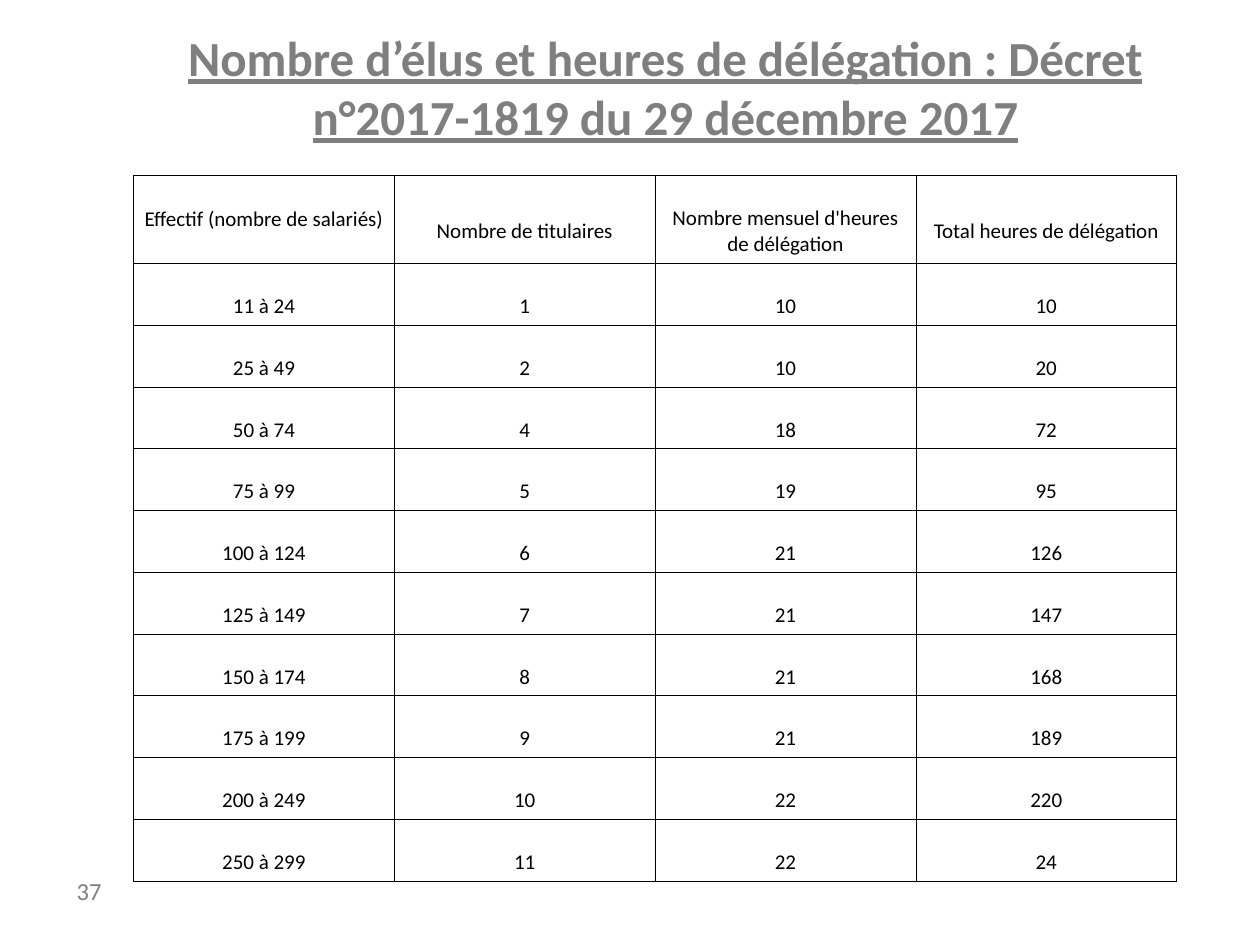
from lxml import etree
from pptx import Presentation
from pptx import util as u
from pptx.dml import color
from pptx.enum import text
from pptx.oxml import ns

WIDTH, HEIGHT = 10, 7.5
LEFT, TABLE_TOP = 1.06, 1.39
COLUMN_WIDTH, HEADER_HEIGHT, ROW_HEIGHT = 2.07, 0.7, 0.49
SIDE_INSET, EDGE_INSET, LOWERED_INSET = 0.06, 0.05, 0.24
GREY, BLACK = "7F7F7F", "000000"

TITLE = "Nombre d’élus et heures de délégation : Décret n°2017-1819 du 29 décembre 2017"
HEADERS = [
    "Effectif (nombre de salariés)",
    "Nombre de titulaires",
    "Nombre mensuel d'heures de délégation",
    "Total heures de délégation",
]
ROWS = [
    ("11 à 24", 1, 10, 10),
    ("25 à 49", 2, 10, 20),
    ("50 à 74", 4, 18, 72),
    ("75 à 99", 5, 19, 95),
    ("100 à 124", 6, 21, 126),
    ("125 à 149", 7, 21, 147),
    ("150 à 174", 8, 21, 168),
    ("175 à 199", 9, 21, 189),
    ("200 à 249", 10, 22, 220),
    ("250 à 299", 11, 22, 24),
]

TITLE_FORMAT = {"name": "Calibri", "size": u.Pt(28), "bold": True, "underline": True}
CELL_FORMAT = {"name": "Calibri", "size": u.Pt(12)}
NUMBER_FORMAT = {"name": "Calibri", "size": u.Pt(14)}


def set_color(target, value):
    target.rgb = color.RGBColor.from_string(value)


def set_attributes(target, values):
    for name, value in values.items():
        setattr(target, name, value)


def write(frame, words, format_values, hue, align):
    para = frame.paragraphs[0]
    para.alignment = align
    span = para.add_run()
    span.text = words
    set_attributes(span.font, format_values)
    set_color(span.font.color, hue)


def add_text(page, area, words, format_values, align, anchor):
    box = page.shapes.add_textbox(*(u.Inches(length) for length in area))
    box.text_frame.word_wrap = True
    box.text_frame.vertical_anchor = anchor
    write(box.text_frame, words, format_values, GREY, align)


def add_borders(cell, hue, points):
    properties = cell._tc.get_or_add_tcPr()
    for side in ("a:lnL", "a:lnR", "a:lnT", "a:lnB"):
        line = etree.SubElement(properties, ns.qn(side), w=str(u.Pt(points)))
        fill = etree.SubElement(line, ns.qn("a:solidFill"))
        etree.SubElement(fill, ns.qn("a:srgbClr"), val=hue)


def fill_cell(cell, words, top_inset):
    set_attributes(cell, {
        "margin_left": u.Inches(SIDE_INSET),
        "margin_right": u.Inches(SIDE_INSET),
        "margin_top": u.Inches(top_inset),
        "margin_bottom": u.Inches(EDGE_INSET),
        "vertical_anchor": text.MSO_ANCHOR.MIDDLE,
    })
    add_borders(cell, BLACK, 0.45)
    cell.fill.background()
    write(cell.text_frame, words, CELL_FORMAT, BLACK, text.PP_ALIGN.CENTER)


def add_hours_table(page):
    lines = [HEADERS, *ROWS]
    heights = [HEADER_HEIGHT] + [ROW_HEIGHT] * len(ROWS)
    area = (LEFT, TABLE_TOP, COLUMN_WIDTH * len(HEADERS), sum(heights))
    table = page.shapes.add_table(
        len(lines), len(HEADERS), *(u.Inches(length) for length in area)
    ).table
    set_attributes(table, {"first_row": False, "horz_banding": False})
    for column in table.columns:
        column.width = u.Inches(COLUMN_WIDTH)
    for row, height, values in zip(table.rows, heights, lines):
        row.height = u.Inches(height)
        for cell, value in zip(row.cells, values):
            top_inset = EDGE_INSET if value == HEADERS[0] else LOWERED_INSET
            fill_cell(cell, str(value), top_inset)


def main():
    deck = Presentation()
    deck.slide_width, deck.slide_height = u.Inches(WIDTH), u.Inches(HEIGHT)
    page = deck.slides.add_slide(deck.slide_layouts[6])
    add_text(page, (LEFT, 0.04 * HEIGHT, 8.44, 0.77), TITLE, TITLE_FORMAT,
             text.PP_ALIGN.CENTER, text.MSO_ANCHOR.MIDDLE)
    add_hours_table(page)
    add_text(page, (0.51, 0.92 * HEIGHT, 1.23, 0.32), "37", NUMBER_FORMAT,
             text.PP_ALIGN.LEFT, text.MSO_ANCHOR.TOP)
    deck.save("out.pptx")


if __name__ == "__main__":
    main()
